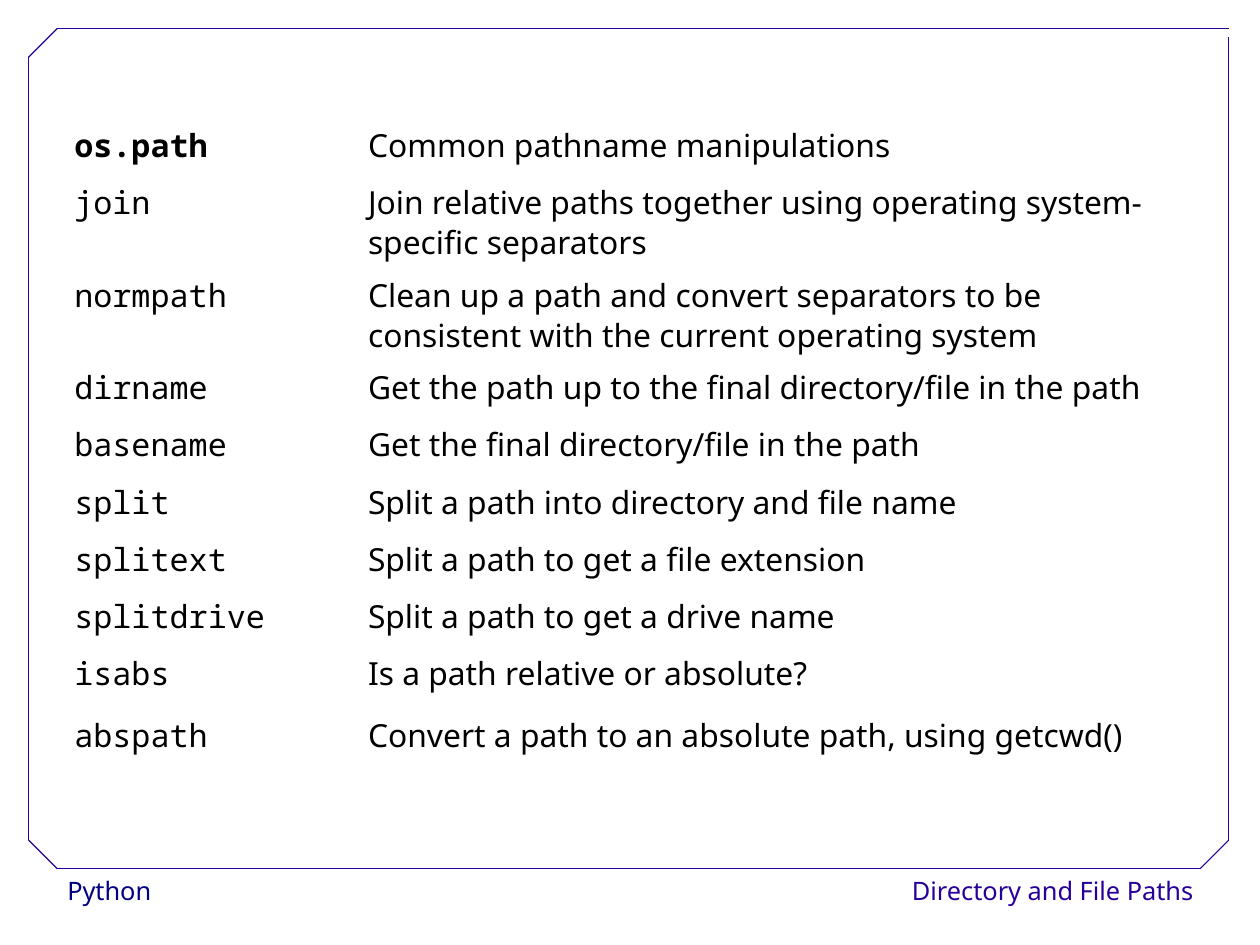
from dataclasses import dataclass

from lxml.etree import SubElement
from pptx import Presentation
from pptx.dml.color import RGBColor
from pptx.enum.shapes import MSO_CONNECTOR
from pptx.enum.text import PP_ALIGN
from pptx.oxml.ns import qn
from pptx.util import Cm, Inches, Pt


@dataclass(frozen=True)
class Theme:
    """Colours, fonts and sizes of the slide."""
    ink: RGBColor = RGBColor(0x00, 0x00, 0x00)
    paper: RGBColor = RGBColor(0xFF, 0xFF, 0xFF)
    navy: RGBColor = RGBColor(0x00, 0x00, 0x80)
    violet: RGBColor = RGBColor(0x28, 0x00, 0x99)
    sans: str = "Noto Sans"
    mono: str = "Noto Sans Mono"
    body: int = 20
    footer: int = 16
    rule: float = 0.75


THEME = Theme()
UNIT = 0.25
COLUMNS = (10.28, 29.44)
ROW, TALL_ROW, LOOSE_ROW = 2, 3.24, 2.16

FUNCTIONS = [
    ("os.path", "Common pathname manipulations", ROW),
    ("join", "Join relative paths together using operating system-specific separators", TALL_ROW),
    ("normpath", "Clean up a path and convert separators to be consistent with "
                 "the current operating system", TALL_ROW),
    ("dirname", "Get the path up to the final directory/file in the path", ROW),
    ("basename", "Get the final directory/file in the path", ROW),
    ("split", "Split a path into directory and file name", ROW),
    ("splitext", "Split a path to get a file extension", ROW),
    ("splitdrive", "Split a path to get a drive name", ROW),
    ("isabs", "Is a path relative or absolute?", LOOSE_ROW),
    ("abspath", "Convert a path to an absolute path, using getcwd()", ROW),
]


def grid(n):
    """Convert grid units to a length."""
    return Inches(n * UNIT)


def add_run(p, text, font, size, color, bold=False):
    """Append one formatted run to a paragraph."""
    r = p.add_run()
    r.text = text
    r.font.name = font
    r.font.size = Pt(size)
    r.font.color.rgb = color
    r.font.bold = bold


def add_footer(slide, text, left, width, color, align):
    """Place a footer label below the frame."""
    sp = slide.shapes.add_textbox(grid(left), grid(30.4), grid(width), grid(1.6))
    sp.fill.solid()
    sp.fill.fore_color.rgb = THEME.paper
    sp.text_frame.word_wrap = True
    p = sp.text_frame.paragraphs[0]
    p.alignment = align
    p.line_spacing = 1.02
    add_run(p, text, THEME.sans, THEME.footer, color)


def add_frame(slide):
    """Draw the frame with three cut corners and an open top right corner."""
    left, right, top, bottom, cut = 1, 43, 1, 30.4, 1
    edges = [
        (left + cut, bottom, right - cut, bottom),
        (left, bottom - cut, left, top + cut),
        (left + cut, top, right, top),
        (right, bottom - cut, right, top + 0.28),
        (left, top + cut, left + cut, top),
        (right - cut, bottom, right, bottom - cut),
        (left, bottom - cut, left + cut, bottom),
    ]
    frame = slide.shapes.add_group_shape()
    for edge in edges:
        line = frame.shapes.add_connector(MSO_CONNECTOR.STRAIGHT, *map(grid, edge))
        line.line.color.rgb = THEME.violet
        line.line.width = Pt(THEME.rule)
        SubElement(line._element.spPr, qn("a:effectLst"))


def fill_cell(cell, text, font, bold=False):
    """Write one unfilled table cell."""
    cell.fill.background()
    p = cell.text_frame.paragraphs[0]
    p.line_spacing = 0.93
    p.space_after = Pt(14.2)
    add_run(p, text, font, THEME.body, THEME.ink, bold)


def add_function_table(slide):
    """Add the table of path functions and their meanings."""
    height = sum(row[2] for row in FUNCTIONS)
    table = slide.shapes.add_table(len(FUNCTIONS), len(COLUMNS), grid(2.2), grid(4.18),
                                   grid(sum(COLUMNS)), grid(height)).table
    table.first_row = False
    table.horz_banding = False
    for column, width in zip(table.columns, COLUMNS):
        column.width = grid(width)
    for i, (name, meaning, row_height) in enumerate(FUNCTIONS):
        table.rows[i].height = grid(row_height)
        fill_cell(table.cell(i, 0), name, THEME.mono, bold=i == 0)
        fill_cell(table.cell(i, 1), meaning, THEME.sans)


def main():
    """Build and save the slide."""
    prs = Presentation()
    prs.slide_width = Cm(28)
    prs.slide_height = Cm(21)
    slide = prs.slides.add_slide(prs.slide_layouts[6])
    add_footer(slide, "Python", 1.96, 8.6, THEME.navy, PP_ALIGN.LEFT)
    add_footer(slide, "Directory and File Paths", 30.16, 12, THEME.violet, PP_ALIGN.RIGHT)
    add_frame(slide)
    add_function_table(slide)
    prs.save("out.pptx")


if __name__ == "__main__":
    main()
